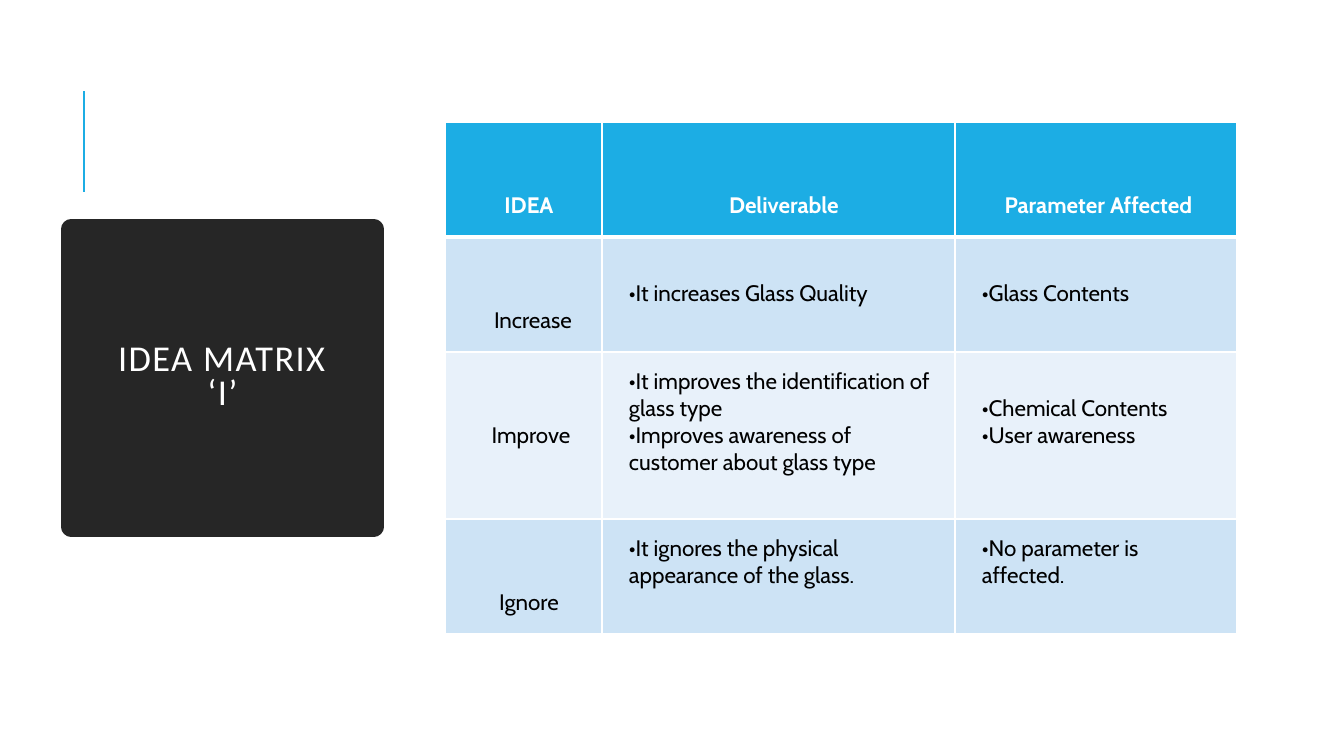
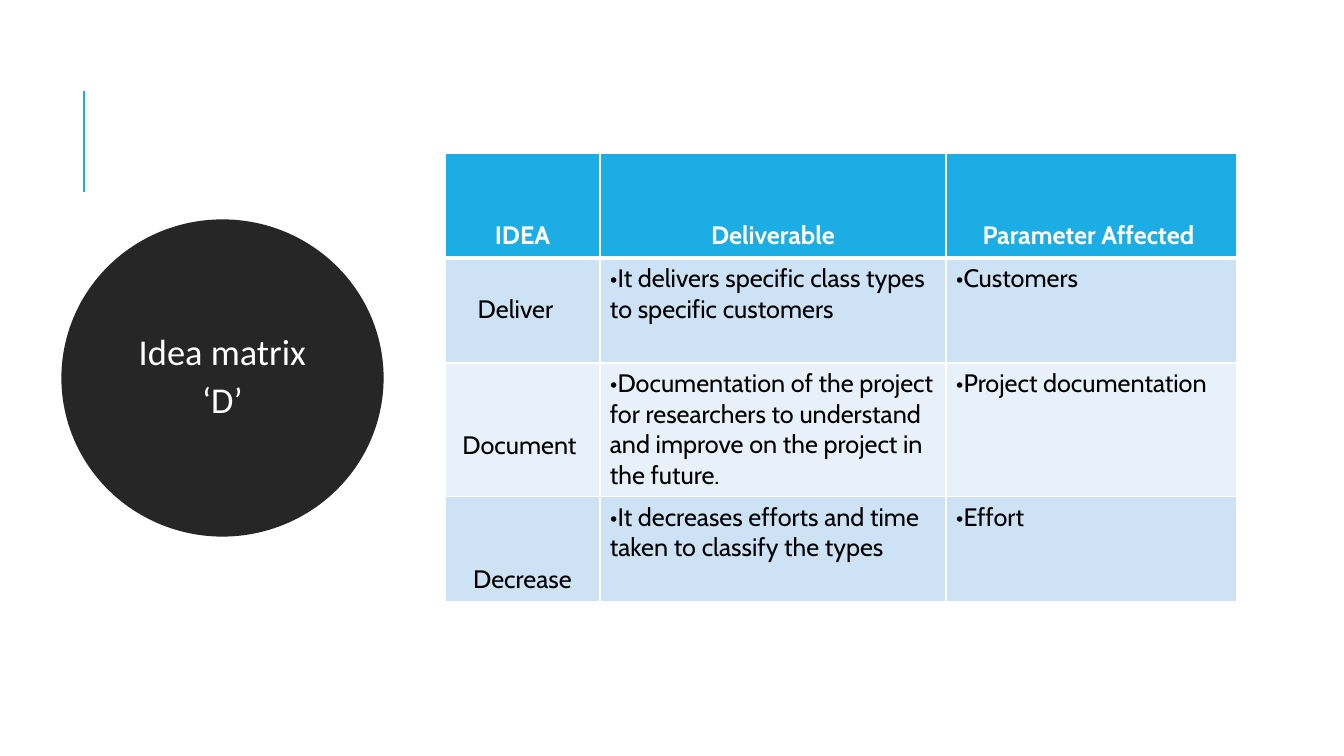
from lxml import etree
from pptx import Presentation
from pptx.dml.color import RGBColor
from pptx.enum.shapes import MSO_CONNECTOR, MSO_SHAPE
from pptx.enum.text import MSO_ANCHOR, PP_ALIGN
from pptx.oxml.ns import qn
from pptx.util import Pt

# Content: a body row is label, then bulleted deliverables and parameters.
# Each cell is (lines of text, empty lines above, shift of the centre in pixels).
HEADINGS = ("IDEA", "Deliverable", "Parameter Affected")
SLIDES = [
    {
        "title": ["IDEA MATRIX\v‘I’"],
        "badge": MSO_SHAPE.RECTANGLE,
        "title_format": {"line_spacing": 0.8, "tracking": 100},
        "top": 122, "columns": (157, 353, 282), "rows": (115, 115, 167, 115),
        "insets": (27, 16, 16, 16), "size": 16, "line_height": 27,
        "body": [
            [(["Increase"], 2, 4), (["It increases Glass Quality"], 1, 0),
             (["Glass Contents"], 1, 0)],
            [(["Improve"], 2, 2),
             (["It improves the identification of glass type",
               "Improves awareness of customer about glass type"], 0, 0),
             (["Chemical Contents", "User awareness"], 1, 0)],
            [(["Ignore"], 2, 0),
             (["It ignores the physical appearance of the glass."], 0, 0),
             (["No parameter is affected."], 0, 0)],
        ],
    },
    {
        "title": ["Idea matrix", "‘D’"],
        "badge": MSO_SHAPE.OVAL,
        "title_format": {"line_spacing": 0.9, "space_after": 6},
        "top": 153, "columns": (155, 346, 291), "rows": (105, 105, 134, 105),
        "insets": (10, 5, 10, 5), "size": 18, "line_height": 31,
        "body": [
            [(["Deliver"], 1, -7),
             (["It delivers specific class types to specific customers"], 0, 0),
             (["Customers"], 0, 0)],
            [(["Document"], 2, -3),
             (["Documentation of the project for researchers to understand "
               "and improve on the project in the future."], 0, 0),
             (["Project documentation"], 0, 0)],
            [(["Decrease"], 2, 0),
             (["It decreases efforts and time taken to classify the types"], 0, 0),
             (["Effort"], 0, 0)],
        ],
    },
]

# Shared style
COLORS = {"accent": "1CADE4", "badge": "262626", "white": "FFFFFF",
          "black": "000000", "band": "CDE3F5", "light": "E8F1FA"}
TITLE_FONT, TABLE_FONT = "Calibri", "Cabin"
TABLE_LEFT = 445
BADGE_BOX = (71, 229, 303, 298)
ACCENT_LINE = (84, 192, 84, 91)


def px(pixels):
    return round(pixels * 914400 / 100.8)


def color(name):
    return RGBColor.from_string(COLORS[name])


def write(frame, lines, font, size, fill, align=PP_ALIGN.CENTER, bold=False,
          bullet=False, line_spacing=None, space_after=None, tracking=None):
    frame.word_wrap = True
    for index, line in enumerate(lines):
        paragraph = frame.add_paragraph() if index else frame.paragraphs[0]
        paragraph.text = line
        paragraph.alignment = align
        if line_spacing:
            paragraph.line_spacing = line_spacing
        if space_after:
            paragraph.space_after = Pt(space_after)
        if bullet:
            properties = paragraph._p.get_or_add_pPr()
            properties.set("marL", "0")
            properties.set("indent", "0")
            etree.SubElement(properties, qn("a:buFont")).set("typeface", font)
            etree.SubElement(properties, qn("a:buChar")).set("char", "•")
        for run in paragraph.runs:
            run.font.name, run.font.size, run.font.bold = font, Pt(size), bold
            run.font.color.rgb = color(fill)
            if tracking:
                run._r.get_or_add_rPr().set("spc", str(tracking))


def set_borders(cell, **widths):
    properties = cell._tc.get_or_add_tcPr()
    for side in "LRTB":
        line = etree.SubElement(properties, qn("a:ln" + side))
        line.set("w", str(Pt(widths.get(side, 1))))
        solid = etree.SubElement(line, qn("a:solidFill"))
        etree.SubElement(solid, qn("a:srgbClr")).set("val", COLORS["white"])


def add_accent_line(slide):
    line = slide.shapes.add_connector(MSO_CONNECTOR.STRAIGHT, *map(px, ACCENT_LINE))
    line.line.color.rgb = color("accent")
    line.line.width = Pt(1.5)
    etree.SubElement(line._element.spPr, qn("a:effectLst"))


def add_badge(slide, content):
    shape = slide.shapes.add_shape(content["badge"], *map(px, BADGE_BOX))
    shape.shadow.inherit = False
    shape.fill.solid()
    shape.fill.fore_color.rgb = color("badge")
    shape.line.color.rgb = color("badge")
    shape.line.width = Pt(13.75)
    etree.SubElement(shape.line._get_or_add_ln(), qn("a:round"))
    shape.text_frame.vertical_anchor = MSO_ANCHOR.MIDDLE
    write(shape.text_frame, content["title"], TITLE_FONT, 26, "white",
          **content["title_format"])


def add_matrix(slide, content):
    columns, rows = content["columns"], content["rows"]
    table = slide.shapes.add_table(
        len(rows), len(columns), px(TABLE_LEFT), px(content["top"]),
        px(sum(columns)), px(sum(rows))).table
    for column, width in zip(table.columns, columns):
        column.width = px(width)
    for row, height in zip(table.rows, rows):
        row.height = px(height)

    left, top, right, bottom = content["insets"]
    header = [([text], 2, shift) for text, shift in zip(HEADINGS, (0, 0, -3))]
    for r, row in enumerate([header] + content["body"]):
        fill = "accent" if r == 0 else "band" if r % 2 else "light"
        borders = {0: {"B": 3}, 1: {"T": 3}}.get(r, {})
        for c, (lines, lines_above, shift) in enumerate(row):
            cell = table.cell(r, c)
            cell.margin_left = px(left + 2 * max(shift, 0))
            cell.margin_right = px(right + 2 * max(-shift, 0))
            cell.margin_top = px(top + lines_above * content["line_height"])
            cell.margin_bottom = px(bottom)
            set_borders(cell, **borders)
            cell.fill.solid()
            cell.fill.fore_color.rgb = color(fill)
            bulleted = r > 0 and c > 0
            write(cell.text_frame, lines, TABLE_FONT, content["size"],
                  "black" if r else "white", bold=r == 0, bullet=bulleted,
                  align=PP_ALIGN.LEFT if bulleted else PP_ALIGN.CENTER)


# Build the slides
presentation = Presentation()
presentation.slide_width, presentation.slide_height = px(1344), px(756)
for content in SLIDES:
    slide = presentation.slides.add_slide(presentation.slide_layouts[6])
    add_accent_line(slide)
    add_badge(slide, content)
    add_matrix(slide, content)
presentation.save("out.pptx")
